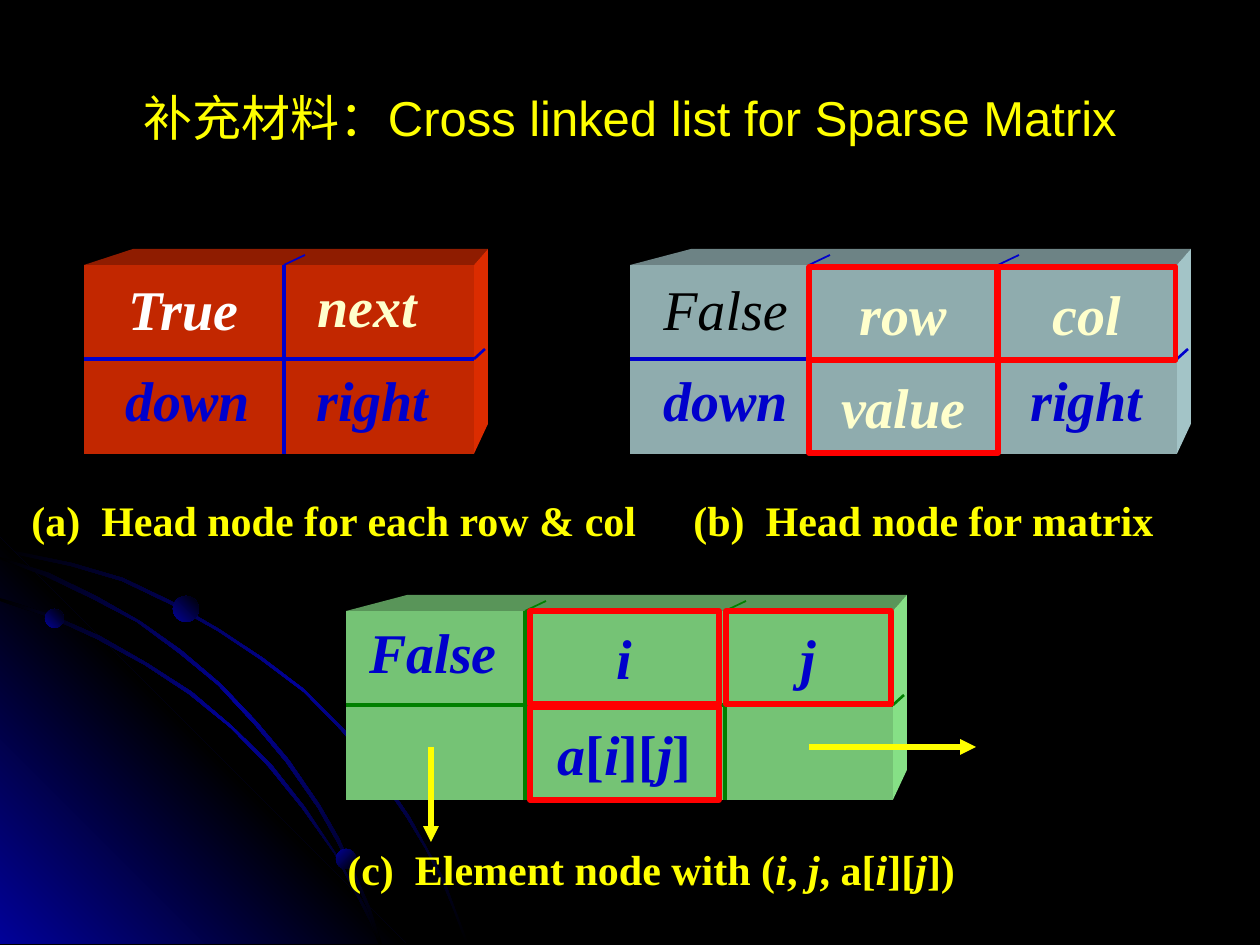
"""Build the slide on cross linked lists for sparse matrices."""
from copy import deepcopy

from lxml import etree
from pptx import Presentation
from pptx.dml.color import RGBColor
from pptx.enum.shapes import MSO_CONNECTOR, MSO_SHAPE
from pptx.enum.text import MSO_ANCHOR, PP_ALIGN
from pptx.oxml.ns import qn
from pptx.util import Inches, Pt

PX = 7257
RECT, OVAL = MSO_SHAPE.RECTANGLE, MSO_SHAPE.OVAL
STRAIGHT = MSO_CONNECTOR.STRAIGHT
MIDDLE = MSO_ANCHOR.MIDDLE
CENTER, LEFT = PP_ALIGN.CENTER, PP_ALIGN.LEFT
SERIF = "Times New Roman"
COLORS = {
    "black": "000000", "white": "FFFFFF", "yellow": "FFFF00", "cream": "FFFFCC",
    "blue": "0000CC", "glow": "010199", "red": "FF0000", "green": "008000",
    "red front": "C22700", "red top": "8F1C00", "red side": "DB2C00",
    "gray front": "8FACAE", "gray top": "6D8385", "gray side": "A3C4C7",
    "mint front": "75C375", "mint top": "599559", "mint side": "86E086",
}
RGB = {name: RGBColor.from_string(value) for name, value in COLORS.items()}


def shade(part, colors, angle):
    part.shadow.inherit = False
    part.line.fill.background()
    part.fill.gradient()
    part.fill.gradient_angle = angle
    stops = part.fill.gradient_stops
    if len(colors) == 3:
        first = part._element.spPr.find(qn("a:gradFill")).find(qn("a:gsLst"))[0]
        first.addnext(deepcopy(first))
        stops = part.fill.gradient_stops
    for index, color in enumerate(colors):
        stops[index].position = index / (len(colors) - 1)
        stops[index].color.rgb = RGB[color]


def write(frame, runs, size, color, align=LEFT, font=SERIF, bold=True):
    frame.word_wrap = font != SERIF
    paragraph = frame.paragraphs[0]
    paragraph.alignment = align
    for text, italic in runs:
        run = paragraph.add_run()
        run.text = text
        run.font.name, run.font.size = font, Pt(size)
        run.font.bold, run.font.italic = bold, italic
        run.font.color.rgb = RGB[color]


deck = Presentation()
deck.slide_width, deck.slide_height = Inches(10), Inches(7.5)
slide = deck.slides.add_slide(deck.slide_layouts[5])
slide.background.fill.solid()
slide.background.fill.fore_color.rgb = RGB["black"]
shapes = slide.shapes

ARC = ["black", "glow", "black"]
SWEEPS = [
    ([(0, 548), (72, 563), (123, 578), (171, 601), (219, 629), (263, 658), (305, 690),
      (343, 728), (378, 770), (410, 817), (427, 848), (444, 879), (456, 911), (469, 944),
      (466, 944), (454, 911), (441, 879), (425, 848), (407, 818), (375, 771), (341, 730),
      (304, 692), (260, 659), (218, 631), (170, 604), (122, 581), (71, 566), (0, 551)],
     ARC, 315),
    ([(0, 538), (0, 944), (406, 944)], ["glow", "black", "glow"], 45),
    ([(0, 598), (52, 615), (100, 636), (147, 663), (192, 692), (232, 726), (271, 764),
      (305, 807), (335, 852), (360, 897), (373, 920), (382, 944), (379, 944), (370, 922),
      (359, 900), (334, 853), (302, 808), (268, 766), (231, 728), (189, 694), (145, 665),
      (97, 639), (49, 617), (0, 601)], ARC, 315),
    ([(0, 557), (49, 573), (96, 596), (140, 621), (181, 650), (221, 684), (257, 722),
      (289, 760), (320, 805), (339, 838), (355, 873), (370, 907), (382, 944), (379, 944),
      (368, 910), (353, 874), (336, 840), (318, 808), (286, 762), (255, 725), (218, 685),
      (179, 653), (137, 622), (93, 599), (45, 576), (0, 559)], ARC, 315),
]
for outline, colors, angle in SWEEPS:
    builder = shapes.build_freeform(*outline[0], scale=PX)
    builder.add_line_segments(outline[1:])
    shade(builder.convert_to_shape(), colors, angle)

for left, top, size, angle in [(45, 609, 19, 45), (336, 849, 20, 315), (173, 596, 26, 45)]:
    bead = shapes.add_shape(OVAL, left * PX, top * PX, size * PX, size * PX)
    shade(bead, ["glow", "black"], angle)

title = shapes.title
title.left, title.top, title.width, title.height = 63 * PX, 38 * PX, 1134 * PX, 158 * PX
title.text_frame.vertical_anchor = MIDDLE
write(title.text_frame, [("补充材料：Cross linked list for Sparse Matrix", False)],
      28, "yellow", CENTER, "Arial", False)

NODES = [
    (84, 265, 390, 49, "red", "blue", [284]),
    (630, 265, 547, 61, "gray", "blue", [809, 998]),
    (346, 611, 547, 61, "mint", "green", [525, 725]),
]
HEIGHT, DEPTH, RISE = 189, 14, 16
lines = []
for left, top, width, slant, paint, ink, dividers in NODES:
    right, bottom, middle = left + width, top + HEIGHT, top + HEIGHT // 2
    back, back_top = right + DEPTH, top - RISE
    faces = {
        "top": [(left, top), (left + slant, back_top), (back, back_top), (right, top)],
        "side": [(right, top), (back, back_top), (back, bottom - 30), (right, bottom)],
        "front": [(left, top), (right, top), (right, bottom), (left, bottom)],
    }
    for side, corners in faces.items():
        builder = shapes.build_freeform(*corners[0], scale=PX)
        builder.add_line_segments(corners[1:])
        face = builder.convert_to_shape()
        face.shadow.inherit = False
        face.fill.solid()
        face.fill.fore_color.rgb = RGB[f"{paint} {side}"]
        face.line.fill.background()
    lines.append((left, middle, right, middle, ink, 2.25, False))
    lines.append((right, middle, right + 11, middle - 10, ink, 1.5, False))
    for x in dividers:
        lines.append((x, top, x, bottom, ink, 2.25, False))
        lines.append((x, top, x + 21, top - 10, ink, 1, False))
lines.append((431, 747, 431, 842, "yellow", 3, True))
lines.append((809, 747, 976, 747, "yellow", 3, True))

for x1, y1, x2, y2, color, weight, arrow in lines:
    stroke = shapes.add_connector(STRAIGHT, x1 * PX, y1 * PX, x2 * PX, y2 * PX)
    stroke.line.color.rgb = RGB[color]
    stroke.line.width = Pt(weight)
    if arrow:
        etree.SubElement(stroke.line._get_or_add_ln(), qn("a:tailEnd"), type="triangle")
    etree.SubElement(stroke._element.spPr, qn("a:effectLst"))

LABELS = [
    (116, 268, 137, "True", "white", True),
    (113, 359, 150, "down", "blue", True),
    (305, 265, 125, "next", "cream", True),
    (304, 359, 137, "right", "blue", True),
    (1018, 359, 137, "right", "blue", True),
    (651, 359, 150, "down", "blue", True),
    (651, 268, 150, "False", "black", False),
    (357, 611, 154, "False", "blue", True),
]
for left, top, width, text, color, bold in LABELS:
    label = shapes.add_textbox(left * PX, top * PX, width * PX, 79 * PX)
    write(label.text_frame, [(text, True)], 32, color, bold=bold)

CAPTIONS = [
    (19, 488, 630, [("(a)  Head node for each row & col", False)]),
    (681, 488, 485, [("(b)  Head node for matrix", False)]),
    (335, 837, 633, [("(c)  Element node with (", False), ("i", True), (", ", False),
                     ("j", True), (", a[", False), ("i", True), ("][", False),
                     ("j", True), ("])", False)]),
]
for left, top, width, runs in CAPTIONS:
    caption = shapes.add_textbox(left * PX, top * PX, width * PX, 63 * PX)
    write(caption.text_frame, runs, 24, "yellow")

FIELDS = [
    (809, 267, 189, [("row", True)], "cream"),
    (809, 360, 189, [("value", True)], "cream"),
    (997, 267, 179, [("col", True)], "cream"),
    (530, 611, 189, [("i", True)], "blue"),
    (726, 611, 165, [("j", True)], "blue"),
    (530, 707, 189, [("a", True), ("[", False), ("i", True), ("][", False),
                     ("j", True), ("]", False)], "blue"),
]
for left, top, width, runs, color in FIELDS:
    field = shapes.add_shape(RECT, left * PX, top * PX, width * PX, 93 * PX)
    field.shadow.inherit = False
    field.fill.background()
    field.line.color.rgb = RGB["red"]
    field.line.width = Pt(3)
    field.text_frame.vertical_anchor = MIDDLE
    write(field.text_frame, runs, 32, color, CENTER)

deck.save("out.pptx")
